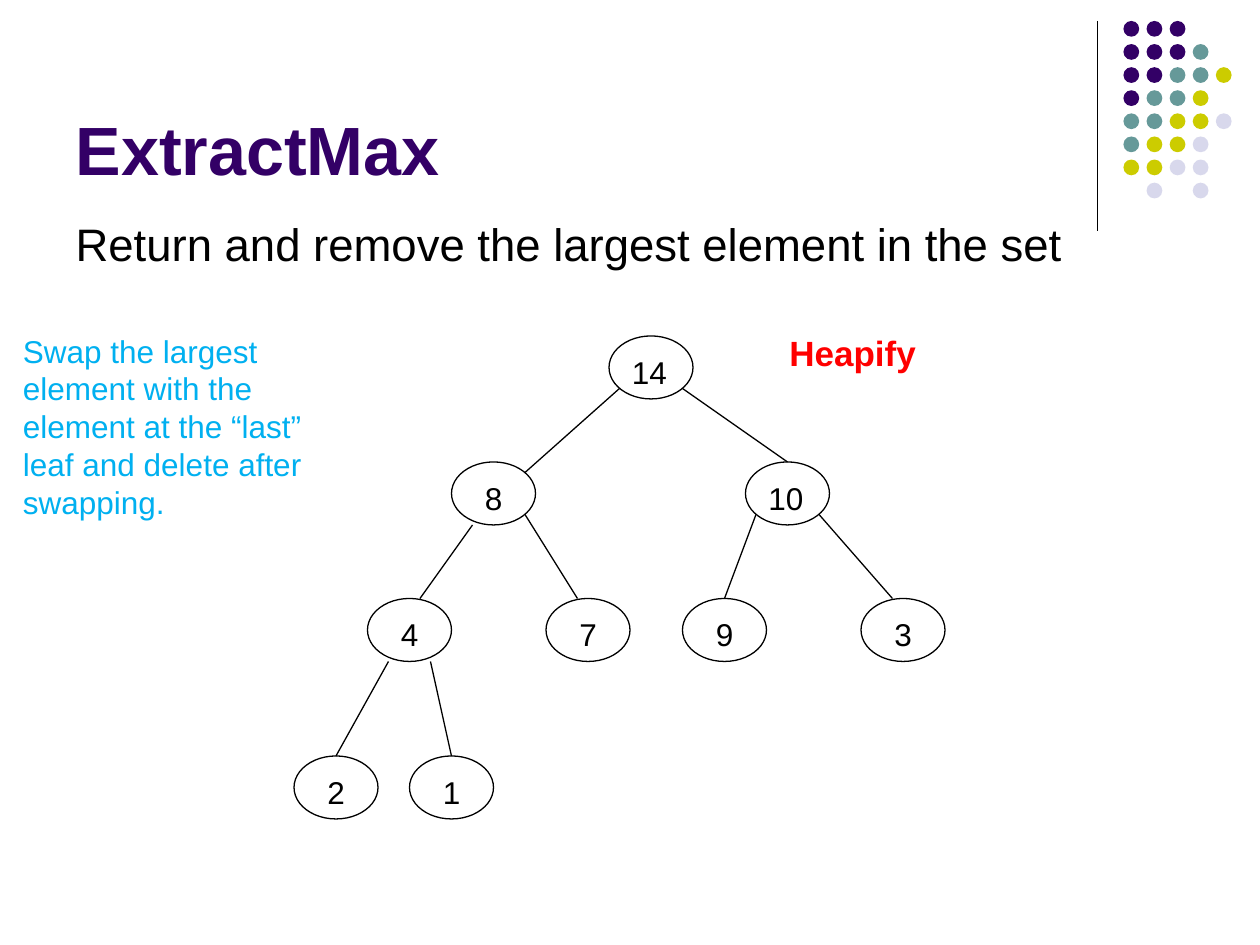
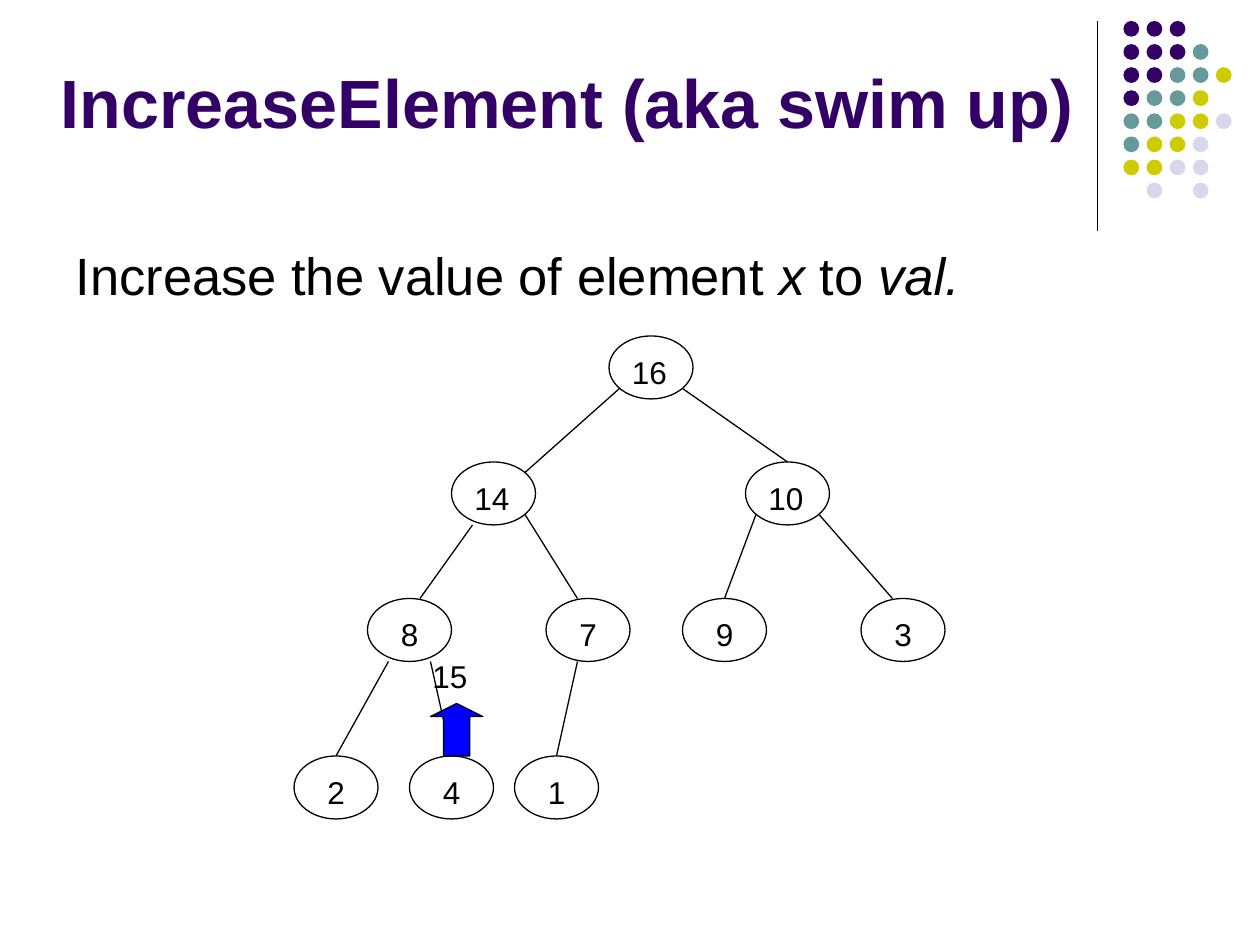
import pptx
import pptx.util
import pptx.dml.color
import pptx.enum.shapes
import pptx.enum.text
import pptx.oxml

FONT = "Arial"
COLORS = {
    "ink": "000000", "title": "330066", "teal": "669999", "olive": "CCCC00",
    "mist": "D8D8EC", "alert": "FF0000", "hint": "00B0F0", "arrow": "0000FF",
}
COLS = 120  # square cells: 120 columns by 90 rows
CELL = pptx.util.Inches(10) / COLS
SHAPE = pptx.enum.shapes.MSO_SHAPE
ANCHOR = pptx.enum.text.MSO_ANCHOR

DOTS = ["ppp", "pppt", "pptto", "ptto", "ttoom", "toom", "oomm", " m m"]
DOT_KEYS = {"p": "title", "t": "teal", "o": "olive", "m": "mist"}

# Heap order: the parent of node i is node (i - 1) // 2
NODES = [(30, 0), (15, 12), (43, 12), (7, 25), (24, 25), (37, 25), (54, 25),
         (0, 40), (11, 40), (21, 40)]
NODE_W, NODE_H = 8, 6
TOP = (4, 0)
# For each node after the root: offset inside its parent, offset inside itself
EDGES = [((1, 5), (7, 1)), ((7, 5), TOP), ((2, 6), (5, 0)), ((7, 5), (3, 0)),
         ((1, 5), TOP), ((7, 5), (3, 0)), ((2, 6), TOP), ((6, 6), TOP),
         ((3, 6), TOP)]


def cells(*counts):
    return [round(count * CELL) for count in counts]


def rgb(key):
    return pptx.dml.color.RGBColor.from_string(COLORS[key])


def write(frame, runs, size, color="ink", bold=False):
    """Fill a frame with one paragraph of (text, italic) runs."""
    frame.word_wrap = True
    frame.auto_size = pptx.enum.text.MSO_AUTO_SIZE.NONE
    para = frame.paragraphs[0]
    para.alignment = pptx.enum.text.PP_ALIGN.LEFT
    para.space_before = pptx.util.Pt(0)
    for text, italic in runs:
        run = para.add_run()
        run.text = text
        run.font.name = FONT
        run.font.size = pptx.util.Pt(size)
        run.font.bold = bold
        run.font.italic = italic
        run.font.color.rgb = rgb(color)


def label(slide, box, text, size=18, color="ink", bold=False):
    frame = slide.shapes.add_textbox(*cells(*box)).text_frame
    write(frame, [(text, False)], size, color, bold)


def shape(shapes, kind, box, fill=None, outline=True):
    item = shapes.add_shape(kind, *cells(*box))
    item.shadow.inherit = False
    if fill:
        item.fill.solid()
        item.fill.fore_color.rgb = rgb(fill)
    else:
        item.fill.background()
    if outline:
        item.line.color.rgb = rgb("ink")
        item.line.width = pptx.util.Pt(0.75)
    else:
        item.line.fill.background()
    return item


def link(shapes, start, end):
    line = shapes.add_connector(
        pptx.enum.shapes.MSO_CONNECTOR.STRAIGHT, *cells(*start, *end))
    line.line.color.rgb = rgb("ink")
    line.line.width = pptx.util.Pt(0.75)
    line.element.spPr.append(pptx.oxml.parse_xml(
        '<a:effectLst xmlns:a='
        '"http://schemas.openxmlformats.org/drawingml/2006/main"/>'))
    return line


def corner(prs, slide, box):
    """Draw the rule and dot pattern, then move them to the slide master."""
    left, top, width, height = box
    rule = link(slide.shapes, (left, top), (left, top + height))
    group = slide.shapes.add_group_shape()
    size, step = 1.5, 2.2
    first = left + width - 4 * step - size
    for row, keys in enumerate(DOTS):
        for col, key in enumerate(keys):
            if key != " ":
                spot = (first + col * step, top + row * step, size, size)
                shape(group.shapes, SHAPE.OVAL, spot, DOT_KEYS[key], False)
    tree = prs.slide_master.element.cSld.spTree
    for item in (rule, group):
        tree.append(item.element)
    for number, prop in enumerate(tree.iter("{*}cNvPr"), 1):
        prop.set("id", str(number))


def move(holder, box):
    holder.left, holder.top, holder.width, holder.height = cells(*box)


def header(prs, title, title_box, runs, size, body_box):
    """Add a slide with its title and its one-line statement."""
    slide = prs.slides.add_slide(prs.slide_layouts[1])
    head, body = slide.shapes.title, slide.placeholders[1]
    move(head, title_box)
    head.text_frame.vertical_anchor = ANCHOR.BOTTOM
    write(head.text_frame, [(title, False)], 39, "title", True)
    move(body, body_box)
    body.text_frame.vertical_anchor = ANCHOR.TOP
    props = body.text_frame.paragraphs[0]._p.get_or_add_pPr()
    props.set("marL", "0")
    props.set("indent", "0")
    props.append(pptx.oxml.parse_xml(
        '<a:buNone xmlns:a='
        '"http://schemas.openxmlformats.org/drawingml/2006/main"/>'))
    write(body.text_frame, runs, size)
    return slide


def heap(slide, origin, values):
    """Draw a binary heap, given as an array, from its top left cell."""
    spots = [(origin[0] + x, origin[1] + y) for x, y in NODES]
    ovals = []
    for (x, y), value in zip(spots, values):
        ovals.append(
            shape(slide.shapes, SHAPE.OVAL, (x, y, NODE_W, NODE_H)))
        text = str(value)
        label(slide, (x + 3 - len(text), y + 1, 7, 4.8), text)
    for child in range(1, len(values)):
        (px, py), (cx, cy) = spots[(child - 1) // 2], spots[child]
        (sx, sy), (ex, ey) = EDGES[child - 1]
        line = link(slide.shapes, (px + sx, py + sy), (cx + ex, cy + ey))
        if (ex, ey) == TOP:
            line.end_connect(ovals[child], 0)


def extract(prs):
    slide = header(
        prs, "ExtractMax", (6, 1.6, 99, 17),
        [("Return and remove the largest element in the set", False)], 26,
        (6, 20, 108, 8))
    heap(slide, (28, 32), [14, 8, 10, 4, 7, 9, 3, 2, 1])
    label(slide, (74, 31, 23, 5.2), "Heapify", 20, "alert", True)
    label(slide, (1, 31, 33, 19.4),
          "Swap the largest element with the element at the “last” leaf "
          "and delete after swapping.", color="hint")
    return slide


def increase(prs):
    slide = header(
        prs, "IncreaseElement (aka swim up)", (4.6, 6.1, 101, 8),
        [("Increase the value of element ", False), ("x", True),
         (" to ", False), ("val.", True)], 30,
        (6, 22.5, 108, 7.5))
    heap(slide, (28, 32), [16, 14, 10, 8, 7, 9, 3, 2, 4, 1])
    label(slide, (40, 62, 9, 4.8), "15")
    arrow = shape(slide.shapes, SHAPE.UP_ARROW, (41, 67, 5, 5), "arrow")
    arrow.adjustments[0] = 0.5
    arrow.adjustments[1] = 0.25


def main():
    prs = pptx.Presentation()
    prs.slide_width = pptx.util.Inches(10)
    prs.slide_height = pptx.util.Inches(7.5)
    first = extract(prs)
    corner(prs, first, (104.5, 2, 12.8, 20))
    increase(prs)
    prs.save("out.pptx")


if __name__ == "__main__":
    main()
